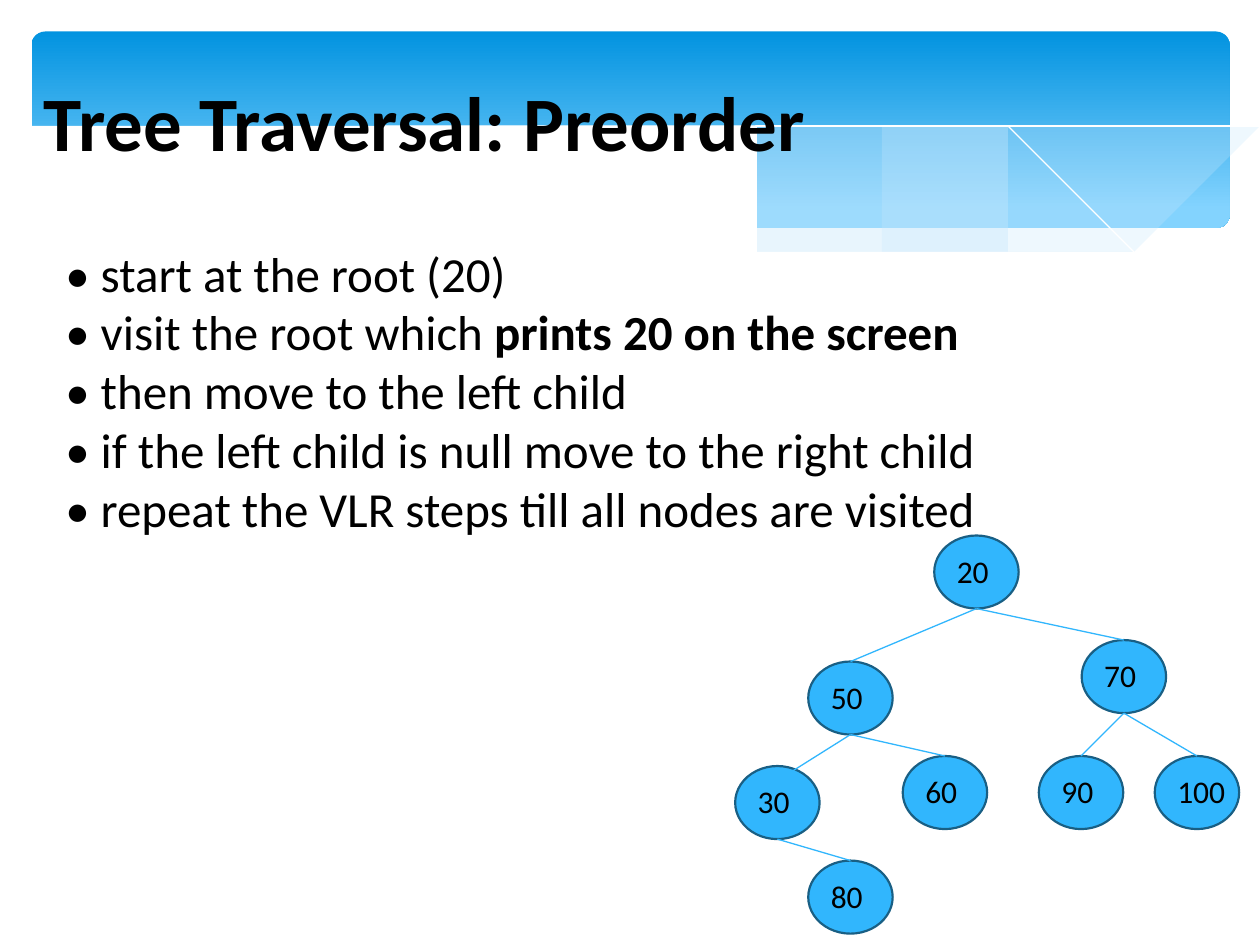
from lxml import etree
from pptx import Presentation
from pptx import util as u
from pptx.dml.color import RGBColor
from pptx.enum import shapes, text
from pptx.oxml.ns import qn

COLORS = {"black": "000000", "white": "FFFFFF", "sky": "0293E0", "pale": "83D3FE",
          "mist": "C6E7FC", "node": "31B6FD", "rim": "195F84"}
NODE_WIDTH, NODE_HEIGHT = 0.67, 0.58


def color(name):
    return RGBColor.from_string(COLORS[name])


def smooth(anchors, steps=5):
    """Points of a Catmull-Rom curve through the anchors."""
    padded = [anchors[0], *anchors, anchors[-1]]
    points = []
    for a, b, c, d in zip(padded, padded[1:], padded[2:], padded[3:]):
        for step in range(steps):
            t = step / steps
            points.append(tuple(
                q + t * (r - p) / 2 + t * t * (2 * p - 5 * q + 4 * r - s) / 2
                + t ** 3 * (3 * q - p - 3 * r + s) / 2
                for p, q, r, s in zip(a, b, c, d)))
    return points + [anchors[-1]]


class SlideBuilder:
    font = "Calibri"

    def __init__(self, slide):
        self.slide = slide

    def shape(self, kind, left, top, width, height):
        shape = self.slide.shapes.add_shape(
            kind, u.Inches(left), u.Inches(top), u.Inches(width), u.Inches(height))
        shape.shadow.inherit = False
        return shape

    def banner(self, left, top, width, height):
        shape = self.shape(shapes.MSO_SHAPE.ROUNDED_RECTANGLE, left, top, width, height)
        shape.adjustments[0] = 0.07
        shape.line.fill.background()
        shape.fill.gradient()
        shape.fill.gradient_angle = 270
        for stop, position, name in zip(shape.fill.gradient_stops, (0, 0.9), ("sky", "pale")):
            stop.position = position
            stop.color.rgb = color(name)

    def freeform(self, points, closed):
        builder = self.slide.shapes.build_freeform(*points[0], scale=u.Inches(1))
        builder.add_line_segments(points[1:], close=closed)
        shape = builder.convert_to_shape()
        shape.shadow.inherit = False
        return shape

    def wave(self, points, fill, opacity=100):
        shape = self.freeform(points, True)
        shape.line.fill.background()
        shape.fill.solid()
        shape.fill.fore_color.rgb = color(fill)
        if opacity < 100:
            tone = shape.fill._xPr.find(qn("a:solidFill"))[0]
            etree.SubElement(tone, qn("a:alpha"), val=str(opacity * 1000))

    def hairline(self, points):
        shape = self.freeform(points, False)
        shape.fill.background()
        shape.line.color.rgb = color("white")
        shape.line.width = u.Pt(0)

    def textbox(self, left, top, width, height, paragraphs, size,
                anchor=text.MSO_ANCHOR.TOP):
        """Each paragraph is a list of (text, bold) runs."""
        box = self.slide.shapes.add_textbox(
            u.Inches(left), u.Inches(top), u.Inches(width), u.Inches(height))
        frame = box.text_frame
        frame.word_wrap = True
        frame.vertical_anchor = anchor
        for index, runs in enumerate(paragraphs):
            paragraph = frame.add_paragraph() if index else frame.paragraphs[0]
            for words, bold in runs:
                run = paragraph.add_run()
                run.text = words
                run.font.name = self.font
                run.font.size = u.Pt(size)
                run.font.bold = bold
                run.font.color.rgb = color("black")
        return frame

    def node(self, label, center, top):
        left = center - NODE_WIDTH / 2
        shape = self.shape(shapes.MSO_SHAPE.OVAL, left, top, NODE_WIDTH, NODE_HEIGHT)
        shape.fill.solid()
        shape.fill.fore_color.rgb = color("node")
        shape.line.color.rgb = color("rim")
        shape.line.width = u.Pt(1.25)
        frame = self.textbox(left + 0.08, top + 0.08, 0.58, 0.4, [[(label, False)]], 18)
        frame.margin_right = 0

    def edge(self, start, end):
        line = self.slide.shapes.add_connector(
            shapes.MSO_CONNECTOR.STRAIGHT, *map(u.Inches, (*start, *end)))
        line.line.color.rgb = color("node")
        line.line.width = u.Pt(0.75)
        etree.SubElement(line._element.spPr, qn("a:effectLst"))


def draw_banner(builder):
    builder.banner(0.25, 0.25, 9.51, 1.56)
    # Translucent waves
    right_top = [(9.76, 0.94), (9.35, 1.01), (8.91, 1.1), (8.32, 1.25), (7.79, 1.37),
                 (7.29, 1.47), (6.61, 1.6)]
    right_bottom = [(6.61, 1.6), (7.05, 1.65), (7.57, 1.7), (8.14, 1.72), (8.63, 1.7),
                    (9.13, 1.62), (9.49, 1.52), (9.76, 1.41)]
    builder.wave(smooth(right_top) + smooth(right_bottom), "mist", 29)
    middle_top = [(8.93, 1.67), (8.37, 1.59), (7.75, 1.49), (7.06, 1.34), (6.29, 1.16),
                  (5.55, 1), (4.89, 0.89), (4.2, 0.82), (3.61, 0.8), (2.86, 0.86)]
    middle_bottom = [(2.86, 0.86), (3.42, 0.94), (4.04, 1.06), (4.91, 1.26), (5.66, 1.43),
                     (6.34, 1.56), (6.95, 1.65), (7.61, 1.71), (8.18, 1.73), (8.93, 1.67)]
    builder.wave(smooth(middle_top) + smooth(middle_bottom), "mist", 40)
    # Thin white curves
    builder.hairline(smooth([(3.09, 0.9), (3.44, 0.84), (4.16, 0.81), (4.89, 0.84),
                             (5.56, 0.91), (6.36, 1.03), (7.27, 1.2), (8.31, 1.45),
                             (9.07, 1.66)]))
    builder.hairline(smooth([(6.13, 1.51), (6.72, 1.35), (7.48, 1.17), (8.06, 1.04),
                             (8.66, 0.93), (9.24, 0.84), (9.75, 0.8)]))
    # White wave that cuts the lower edge of the banner
    lower_edge = [(9.77, 1.41), (9.3, 1.57), (8.75, 1.67), (8.09, 1.71), (7.26, 1.67),
                  (6.26, 1.53), (5.29, 1.33), (4.47, 1.14), (3.65, 0.96), (2.92, 0.85),
                  (2.3, 0.79), (1.77, 0.78), (1.19, 0.82), (0.67, 0.91), (0.23, 1.07)]
    builder.wave(smooth(lower_edge) + [(0.23, 2.24), (9.77, 2.24)], "white")


def draw_tree(builder):
    # Label: (horizontal center, top)
    nodes = {"20": (7.75, 4.25), "30": (6.17, 6.08), "70": (8.92, 5.08), "50": (6.75, 5.25),
             "60": (7.5, 6), "90": (8.58, 6), "100": (9.5, 6), "80": (6.75, 6.83)}
    children = {"20": ("50", "70"), "50": ("30", "60"), "30": ("80",), "70": ("90", "100")}
    for label, place in nodes.items():
        builder.node(label, *place)
    for parent, labels in children.items():
        center, top = nodes[parent]
        for child in labels:
            end = (6.21, 6.17) if child == "30" else nodes[child]
            builder.edge((center, top + NODE_HEIGHT), end)


def main():
    presentation = Presentation()
    presentation.slide_width = u.Inches(10)
    presentation.slide_height = u.Inches(7.5)
    builder = SlideBuilder(presentation.slides.add_slide(presentation.slide_layouts[6]))

    draw_banner(builder)

    # Steps and title
    steps = [
        [("• start at the root (20)", False)],
        [("• visit the root which ", False), ("prints 20 on the screen", True)],
        [("• then move to the left child", False)],
        [("• if the left child is null move to the right child", False)],
        [("• repeat the VLR steps till all nodes are visited", False)],
    ]
    builder.textbox(0.42, 1.88, 8.5, 2.46, steps, 28)
    builder.textbox(0.25, 0.33, 9, 1.25, [[("Tree Traversal: Preorder", True)]], 44,
                    text.MSO_ANCHOR.MIDDLE)

    draw_tree(builder)
    presentation.save("out.pptx")


if __name__ == "__main__":
    main()
